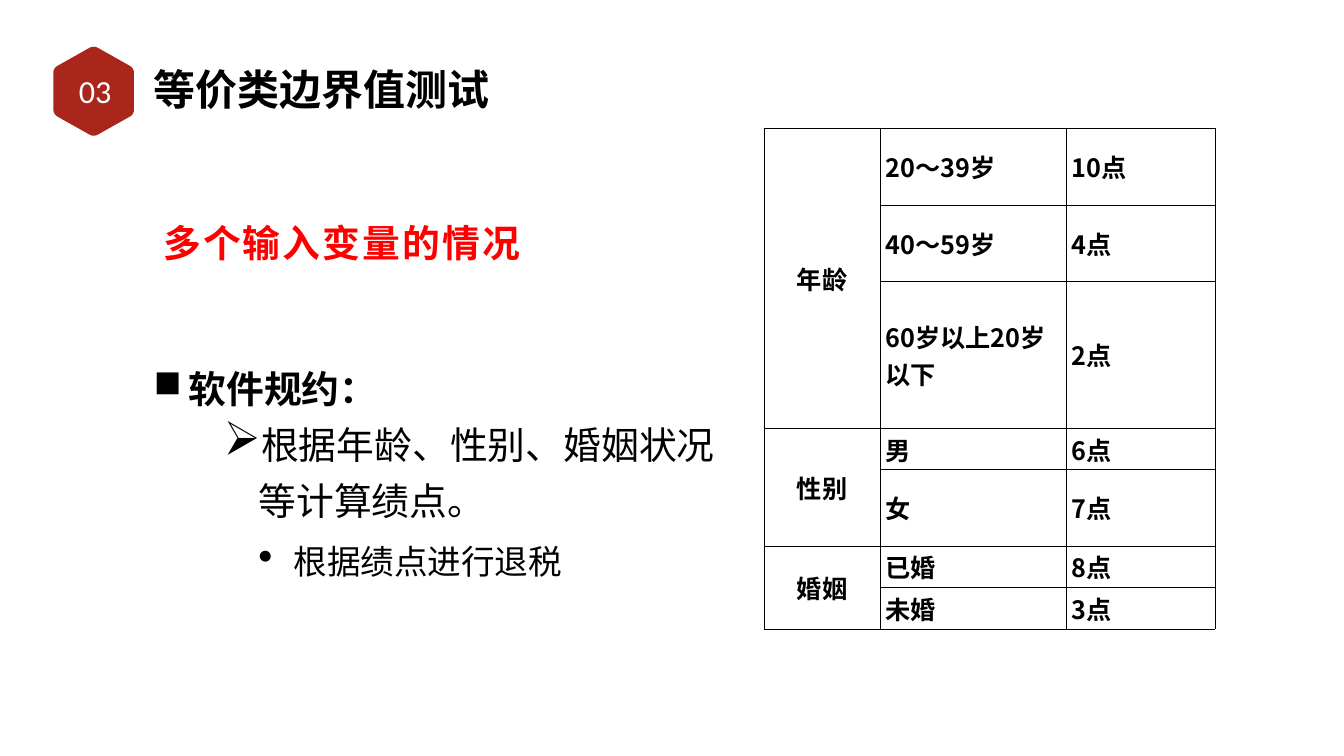
from lxml import etree
from pptx import Presentation, util as u
from pptx.dml.color import RGBColor
from pptx.enum import text
from pptx.oxml.ns import qn

COLORS = {"red": "A8271A", "alert": "FF0000", "ink": "000000", "paper": "FFFFFF"}
CJK = "Noto Sans CJK SC"
LEFT, CENTER = text.PP_ALIGN.LEFT, text.PP_ALIGN.CENTER
TOP, MIDDLE = text.MSO_ANCHOR.TOP, text.MSO_ANCHOR.MIDDLE

prs = Presentation()
prs.slide_width, prs.slide_height = u.Inches(26.67), u.Inches(15)
COL, ROW = prs.slide_width / 100, prs.slide_height / 100
s = prs.slides.add_slide(prs.slide_layouts[6])


def grid(x, y, w, h):
    return [int(v) for v in (x * COL, y * ROW, w * COL, h * ROW)]


def write(p, words, size, bold=True, color="ink", name=CJK, align=LEFT):
    p.alignment = align
    r = p.add_run()
    r.text = words
    for key, value in {"size": u.Pt(size), "bold": bold, "name": name}.items():
        setattr(r.font, key, value)
    r.font.color.rgb = RGBColor.from_string(COLORS[color])
    rPr = r._r.get_or_add_rPr()
    etree.SubElement(rPr, qn("a:ea")).set("typeface", name)
    return rPr


cx, cy = 6.97, 12.07
corners = [(cx + dx, cy + dy) for dx, dy in
           [(0, -6.05), (3, -3.05), (3, 3.05), (0, 6.05), (-3, 3.05), (-3, -3.05)]]
cut = 0.11
outline = []
for i, v in enumerate(corners):
    before, after = corners[i - 1], corners[(i + 1) % 6]
    for step in range(9):
        t = step / 8
        a, b = cut * (1 - t) ** 2, cut * t ** 2
        outline.append(tuple(v[k] + a * (before[k] - v[k]) + b * (after[k] - v[k])
                             for k in (0, 1)))
points = [(int(x * COL), int(y * ROW)) for x, y in outline]
fb = s.shapes.build_freeform(*points[0])
fb.add_line_segments(points[1:], close=True)
sp = fb.convert_to_shape()
sp.shadow.inherit = False
sp.fill.solid()
sp.fill.fore_color.rgb = RGBColor.from_string(COLORS["red"])
sp.line.fill.background()

frames = {}
for name, box, anchor, inset, wrap in [
    ("title", (11.21, 7.87, 26.51, 7.6), MIDDLE, 0.06, True),
    ("number", (3.82, 8.47, 6.52, 7), MIDDLE, 0.05, True),
    ("body", (11.21, 42.07, 44.62, 50.07), TOP, 0.06, True),
    ("case", (11.55, 28.67, 27.75, 6.73), TOP, 0.05, False),
]:
    tf = s.shapes.add_textbox(*grid(*box)).text_frame
    for side in ("left", "right", "top", "bottom"):
        setattr(tf, "margin_" + side, u.Inches(inset))
    tf.word_wrap, tf.vertical_anchor = wrap, anchor
    frames[name] = tf

write(frames["title"].paragraphs[0], "等价类边界值测试", 60)
write(frames["number"].paragraphs[0], "03", 46, False, "paper", "Calibri", CENTER)
rPr = write(frames["case"].paragraphs[0], "多个输入变量的情况", 54, color="alert", align=CENTER)
rPr.set("spc", "300")

tf = frames["body"]
tf.margin_top = int(6.27 * ROW)
for i, (words, size, bold, bullet, percent, level, indent, spacing, before) in enumerate([
    ("软件规约：", 54, True, "■", 100, 0, 2.6, 1, 0),
    ("根据年龄、性别、婚姻状况等计算绩点。", 54, False, "➢", 125, 1, 7.8, 1.24, 0),
    ("根据绩点进行退税", 48, False, "•", 125, 2, 10.4, 1.24, 12),
]):
    p = tf.add_paragraph() if i else tf.paragraphs[0]
    pPr = p._p.get_or_add_pPr()
    pPr.set("marL", str(int(indent * COL)))
    pPr.set("indent", str(int(-2.6 * COL)))
    etree.SubElement(pPr, qn("a:buSzPct")).set("val", str(percent * 1000))
    etree.SubElement(pPr, qn("a:buChar")).set("char", bullet)
    p.level, p.line_spacing, p.space_before = level, spacing, u.Pt(before)
    write(p, words, size, bold)

rows = [
    ("年龄", "20～39岁", "10点", 10.13),
    ("", "40～59岁", "4点", 10.13),
    ("", "60岁以上20岁以下", "2点", 19.4),
    ("性别", "男", "6点", 5.47),
    ("", "女", "7点", 10.13),
    ("婚姻", "已婚", "8点", 5.47),
    ("", "未婚", "3点", 5.47),
]
table = s.shapes.add_table(len(rows), 3, *grid(56.84, 17, 33.56, 66.07)).table
table.first_row = table.horz_banding = False
for column, width in zip(table.columns, (8.66, 13.84, 11.06)):
    column.width = int(width * COL)
for i, (*words, height) in enumerate(rows):
    table.rows[i].height = int(height * ROW)
    for j, word in enumerate(words):
        cell = table.cell(i, j)
        cell.vertical_anchor = MIDDLE
        tcPr = cell._tc.get_or_add_tcPr()
        for edge in ("lnL", "lnR", "lnT", "lnB"):
            ln = etree.SubElement(tcPr, qn("a:" + edge), w=str(u.Pt(1)))
            fill = etree.SubElement(ln, qn("a:solidFill"))
            etree.SubElement(fill, qn("a:srgbClr")).set("val", COLORS["ink"])
        cell.fill.background()
        if word:
            write(cell.text_frame.paragraphs[0], word, 36, align=LEFT if j else CENTER)
for first, last in ((0, 2), (3, 4), (5, 6)):
    table.cell(first, 0).merge(table.cell(last, 0))

prs.save("out.pptx")
